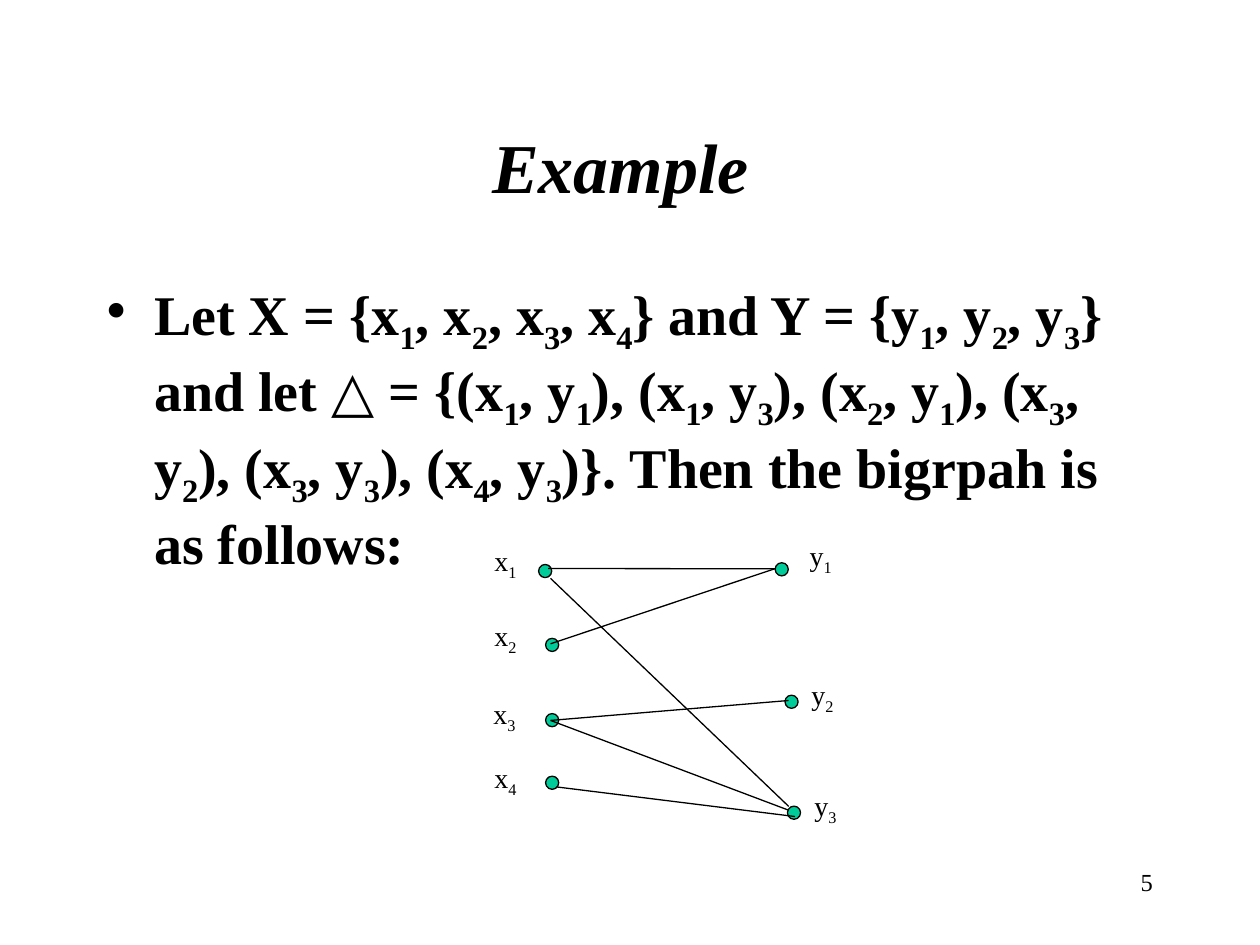
from pptx import Presentation
from pptx.dml.color import RGBColor
from pptx.enum import shapes, text
from pptx.oxml import parse_xml
from pptx.oxml.ns import nsdecls
from pptx.util import Pt

BLACK = "000000"
GREEN = "00CC99"


def color(hex_value):
    return RGBColor.from_string(hex_value)


def write(shape, content, size=16, bold=False, italic=False,
          align=text.PP_ALIGN.LEFT, anchor=text.MSO_ANCHOR.TOP, bullet=False):
    """Fill a shape with one paragraph; a digit after "_" is a subscript."""
    frame = shape.text_frame
    frame.word_wrap = True
    frame.auto_size = text.MSO_AUTO_SIZE.NONE
    frame.vertical_anchor = anchor
    paragraph = frame.paragraphs[0]
    paragraph.alignment = align
    paragraph.space_before = Pt(0)
    if bullet:
        properties = paragraph._p.get_or_add_pPr()
        properties.set("marL", str(Pt(27)))
        properties.set("indent", str(-Pt(27)))
        properties.append(parse_xml(f'<a:buChar {nsdecls("a")} char="•"/>'))
    first, *rest = content.split("_")
    pieces = [(first, False)]
    for part in rest:
        pieces += [(part[0], True), (part[1:], False)]
    for piece, subscript in pieces:
        if not piece:
            continue
        run = paragraph.add_run()
        run.text = piece
        run.font.name = "Times New Roman"
        run.font.size = Pt(size)
        run.font.bold = bold
        run.font.italic = italic
        run.font.color.rgb = color(BLACK)
        if subscript:
            run.font._element.set("baseline", "-25000")


presentation = Presentation()
presentation.slide_width = Pt(720)
presentation.slide_height = Pt(540)
slide = presentation.slides.add_slide(presentation.slide_layouts[5])

title = slide.shapes.title
title.left, title.top, title.width, title.height = Pt(54), Pt(48), Pt(612), Pt(90)
write(title, "Example", size=40, bold=True, italic=True,
      align=text.PP_ALIGN.CENTER, anchor=text.MSO_ANCHOR.MIDDLE)
# The title ends in a larger, regular space
write(title, " ", size=44, italic=True,
      align=text.PP_ALIGN.CENTER, anchor=text.MSO_ANCHOR.MIDDLE)

body = slide.shapes.add_textbox(Pt(54), Pt(156), Pt(612), Pt(324))
write(body,
      "Let X = {x_1, x_2, x_3, x_4} and Y = {y_1, y_2, y_3} and let △ = "
      "{(x_1, y_1), (x_1, y_3), (x_2, y_1), (x_3, y_2), (x_3, y_3), (x_4, y_3)}. "
      "Then the bigrpah is as follows:",
      size=32, bold=True, bullet=True)

number = slide.shapes.add_textbox(Pt(516), Pt(492), Pt(150), Pt(36))
write(number, "5", size=14, align=text.PP_ALIGN.RIGHT)

# Vertex name, dot centre, label corner
vertices = [
    ("x_1", (311.5, 326.3), (275.4, 306.9)),
    ("x_2", (315.5, 368.5), (275.4, 350.1)),
    ("x_3", (315.5, 411.5), (274.9, 394.2)),
    ("x_4", (315.5, 447.3), (275.4, 430.8)),
    ("y_1", (446.7, 325.3), (455.5, 304.1)),
    ("y_2", (452.3, 401), (456.5, 383.8)),
    ("y_3", (453.7, 464.4), (458.3, 447.1)),
]
DOT = 7.5
for name, (x, y), (left, top) in vertices:
    dot = slide.shapes.add_shape(shapes.MSO_SHAPE.OVAL, Pt(x - DOT / 2),
                                 Pt(y - DOT / 2), Pt(DOT), Pt(DOT))
    dot.shadow.inherit = False
    dot.fill.solid()
    dot.fill.fore_color.rgb = color(GREEN)
    dot.line.color.rgb = color(BLACK)
    dot.line.width = Pt(0.75)
    label = slide.shapes.add_textbox(Pt(left), Pt(top), Pt(38), Pt(29.5))
    write(label, name)

edges = [
    (313.2, 324.9, 442.8, 325),
    (314.6, 367.9, 442.8, 325),
    (314.6, 330.5, 450.7, 460.8),
    (318.2, 449.7, 454.3, 466.6),
    (314.6, 411.7, 450.7, 400.3),
    (314.6, 411.7, 450.7, 463),
]
for edge in edges:
    line = slide.shapes.add_connector(shapes.MSO_CONNECTOR.STRAIGHT,
                                      *(Pt(value) for value in edge))
    line.line.color.rgb = color(BLACK)
    line.line.width = Pt(0.75)
    line._element.spPr.append(parse_xml(f'<a:effectLst {nsdecls("a")}/>'))

presentation.save("out.pptx")
